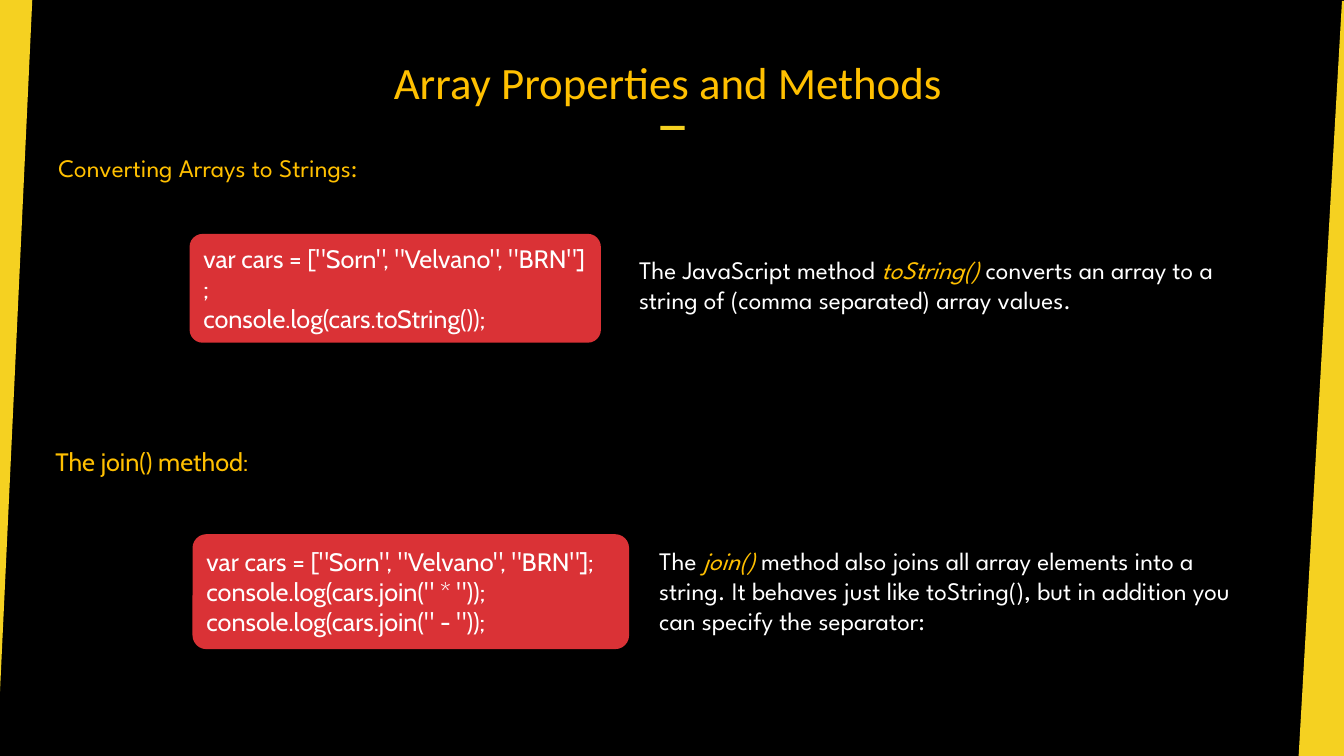
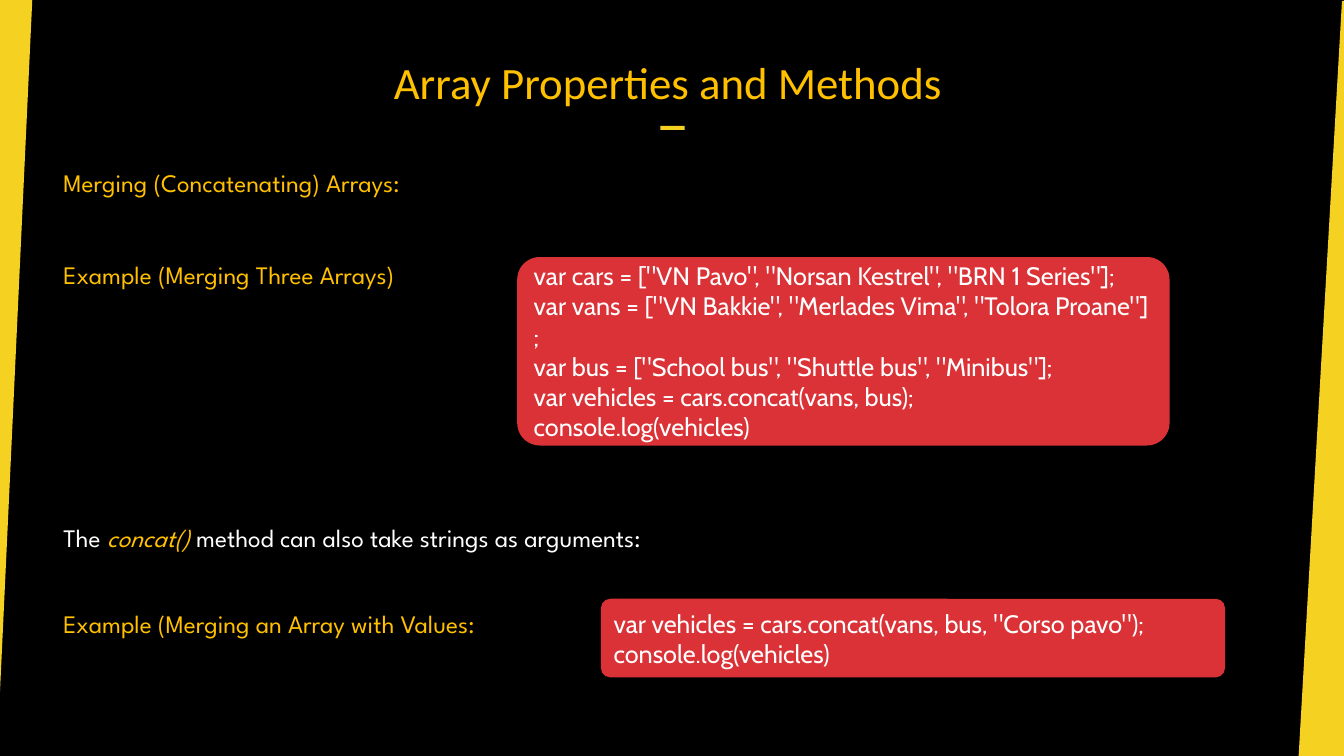
from pptx import Presentation
from pptx.dml.color import RGBColor
from pptx.enum.shapes import MSO_SHAPE
from pptx.enum.text import MSO_ANCHOR, PP_ALIGN
from pptx.util import Inches, Pt

BLACK = RGBColor(0x00, 0x00, 0x00)
WHITE = RGBColor(0xFF, 0xFF, 0xFF)
YELLOW = RGBColor(0xF5, 0xD1, 0x21)
AMBER = RGBColor(0xFF, 0xC0, 0x00)
RED = RGBColor(0xDA, 0x32, 0x36)
TITLE_FONT, TEXT_FONT, CODE_FONT = "Calibri", "League Spartan", "Cabin"

TITLE = "Array Properties and Methods"
EDGE_BANDS = [
    [(0, 0), (0.32, 0), (0, 6.86)],
    [(13.31, 0.01), (13.33, 0.01), (13.33, 7.5), (12.88, 7.5)],
]
CARS = 'var cars = ["Sorn", "Velvano", "BRN"];'

SLIDES = [
    {
        "headings": [
            ("Converting Arrays to Strings:", (0.48, 1.46, 4.19, 0.4), TEXT_FONT),
            ("The join() method:", (0.45, 4.38, 11.53, 0.4), CODE_FONT),
        ],
        "notes": [
            (("The JavaScript method ", "toString() ",
              "converts an array to a string of (comma separated) array values."),
             (6.24, 2.47, 6.39, 0.71)),
            (("The ", "join() ",
              "method also joins all array elements into a string. It behaves just like "
              "toString(), but in addition you can specify the separator:"),
             (6.44, 5.36, 6.17, 1.01)),
        ],
        "code": [
            ([CARS, "console.log(cars.toString());"], (1.88, 2.32, 4.08, 1.08)),
            ([CARS, 'console.log(cars.join(" * "));', 'console.log(cars.join(" - "));'],
             (1.91, 5.3, 4.33, 1.14)),
        ],
    },
    {
        "headings": [
            ("Merging (Concatenating) Arrays:", (0.53, 1.61, 7.97, 0.4), TEXT_FONT),
            ("Example (Merging Three Arrays)", (0.53, 2.52, 4.98, 0.4), TEXT_FONT),
            ("Example (Merging an Array with Values:", (0.53, 5.99, 5.4, 0.4), TEXT_FONT),
        ],
        "notes": [
            (("The ", "concat() ", "method can also take strings as arguments:"),
             (0.53, 5.13, 12.28, 0.4)),
        ],
        "code": [
            (['var cars = ["VN Pavo", "Norsan Kestrel", "BRN 1 Series"];',
              'var vans = ["VN Bakkie", "Merlades Vima", "Tolora Proane"];',
              'var bus = ["School bus", "Shuttle bus", "Minibus"];',
              "var vehicles = cars.concat(vans, bus);",
              "console.log(vehicles)"], (5.13, 2.55, 6.47, 1.87)),
            (['var vehicles = cars.concat(vans, bus, "Corso pavo");',
              "console.log(vehicles)"], (5.96, 5.94, 6.19, 0.78)),
        ],
    },
]


def place(box):
    return [Inches(length) for length in box]


def paint(shape, color):
    shape.shadow.inherit = False
    shape.fill.solid()
    shape.fill.fore_color.rgb = color
    shape.line.fill.background()


def write(shape, paragraphs, *, font=TEXT_FONT, size=18, color=WHITE,
          align=PP_ALIGN.LEFT, anchor=MSO_ANCHOR.TOP):
    frame = shape.text_frame
    frame.word_wrap = True
    frame.vertical_anchor = anchor
    for index, parts in enumerate(paragraphs):
        paragraph = frame.add_paragraph() if index else frame.paragraphs[0]
        paragraph.alignment = align
        for position, text in enumerate(parts):
            emphasized = position % 2 == 1
            run = paragraph.add_run()
            run.text = text
            run.font.name = font
            run.font.size = Pt(size)
            run.font.italic = emphasized
            run.font.color.rgb = AMBER if emphasized else color


def add_frame(slide):
    for band in EDGE_BANDS:
        start, *others = [place(point) for point in band]
        builder = slide.shapes.build_freeform(*start)
        builder.add_line_segments(others, close=True)
        paint(builder.convert_to_shape(), YELLOW)
    dash = slide.shapes.add_shape(MSO_SHAPE.RECTANGLE, *place((6.55, 1.25, 0.24, 0.04)))
    paint(dash, YELLOW)
    title = slide.shapes.add_textbox(*place((3.17, 0.33, 6.91, 0.75)))
    title.text_frame.margin_bottom = 0
    write(title, [[TITLE]], font=TITLE_FONT, size=32, color=AMBER,
          align=PP_ALIGN.CENTER, anchor=MSO_ANCHOR.BOTTOM)


def add_code(slide, lines, box):
    panel = slide.shapes.add_shape(MSO_SHAPE.ROUNDED_RECTANGLE, *place(box))
    panel.adjustments[0] = 0.12
    paint(panel, RED)
    no_break_space = chr(160)
    write(panel, [[line.replace(" ", no_break_space)] for line in lines],
          font=CODE_FONT, anchor=MSO_ANCHOR.MIDDLE)


def main():
    presentation = Presentation()
    presentation.slide_width, presentation.slide_height = place((13.33, 7.5))
    for content in SLIDES:
        slide = presentation.slides.add_slide(presentation.slide_layouts[6])
        slide.background.fill.solid()
        slide.background.fill.fore_color.rgb = BLACK
        add_frame(slide)
        for text, box, font in content["headings"]:
            write(slide.shapes.add_textbox(*place(box)), [[text]], font=font, color=AMBER)
        for parts, box in content["notes"]:
            write(slide.shapes.add_textbox(*place(box)), [parts])
        for lines, box in content["code"]:
            add_code(slide, lines, box)
    presentation.save("out.pptx")


if __name__ == "__main__":
    main()
